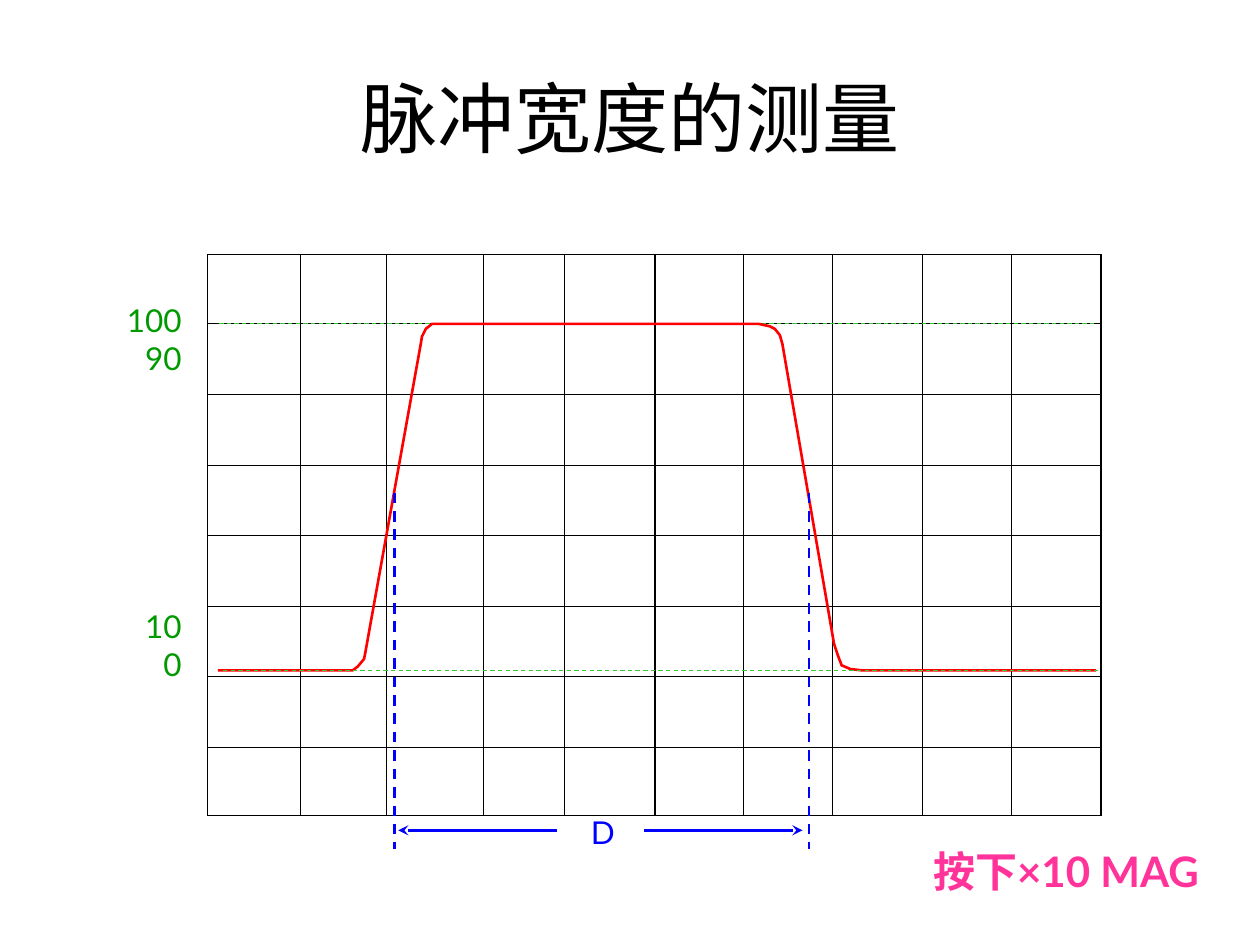
from lxml import etree
from pptx import Presentation
from pptx import util as u
from pptx.dml.color import RGBColor
from pptx.enum import dml, shapes, text
from pptx.oxml.ns import qn

BLACK = RGBColor(0x00, 0x00, 0x00)
GREEN = RGBColor(0x00, 0x99, 0x00)
LIME = RGBColor(0x33, 0xCC, 0x33)
RED = RGBColor(0xFF, 0x00, 0x00)
BLUE = RGBColor(0x00, 0x00, 0xFF)
PINK = RGBColor(0xFF, 0x33, 0x99)

# The slide is a square grid of 100 columns by 75 rows.
COLS, ROWS = 100, 75
UNIT = u.Inches(10) / COLS

WIDTHS = [7.3, 6.9, 7.7, 6.4, 7.2, 7] + [7.1] * 4
HEIGHTS = [5.5] + [5.6] * 6 + [5.4]
HIGH, LOW = 25.7, 53.2
LEFT, RIGHT = 31.3, 64.2
ARROW = 65.9
PULSE = [
    (17.3, LOW), (27.2, LOW), (28, LOW), (28.4, 52.9), (28.9, 52.3),
    (29, 51.8), (33.4, 27.3), (33.5, 26.7), (33.8, 26.1), (34.3, HIGH),
    (35, HIGH), (60.2, HIGH), (61.1, 25.9), (61.5, 26.1), (61.9, 26.6),
    (62.1, 27.3), (66.2, 51.1), (66.5, 52), (66.8, 52.8), (67.5, 53.1),
    (68.4, LOW), (87, LOW),
]


def grid(*counts):
    """Turn grid counts into slide lengths."""
    return [u.Emu(round(n * UNIT)) for n in counts]


def style(para, size, font, color, align, bold=False):
    para.alignment = align
    for run in para.runs:
        run.font.size = u.Pt(size)
        run.font.name = font
        run.font.bold = bold
        run.font.color.rgb = color


def add_title(slide, words):
    title = slide.shapes.title
    title.left, title.top, title.width, title.height = grid(5, 3, 90, 12.5)
    frame = title.text_frame
    frame.text = words
    frame.vertical_anchor = text.MSO_ANCHOR.MIDDLE
    style(frame.paragraphs[0], 44, "Arial", BLACK, text.PP_ALIGN.CENTER)


def add_label(parent, box, words, size, color, align, bold=False):
    frame = parent.add_textbox(*grid(*box)).text_frame
    frame.word_wrap = True
    frame.text = words
    for para in frame.paragraphs:
        style(para, size, "Lato", color, align, bold)


def weight(edge, count):
    """Line width of a grid rule: outer, middle or plain."""
    if edge in (0, count):
        return 0.75
    return 1.08 if edge == count // 2 else 0.45


def add_border(cell, sides):
    props = cell._tc.get_or_add_tcPr()
    for place, (side, width) in enumerate(sides.items()):
        line = etree.Element(qn("a:ln" + side), w=str(u.Pt(width)))
        fill = etree.SubElement(line, qn("a:solidFill"))
        etree.SubElement(fill, qn("a:srgbClr"), val=str(BLACK))
        props.insert(place, line)


def add_screen(slide):
    """Draw the scope screen as an empty table."""
    rows, cols = len(HEIGHTS), len(WIDTHS)
    box = grid(16.5, 20.2, sum(WIDTHS), sum(HEIGHTS))
    table = slide.shapes.add_table(rows, cols, *box).table
    table.first_row = table.horz_banding = False
    for col, width in zip(table.columns, grid(*WIDTHS)):
        col.width = width
    for row, height in zip(table.rows, grid(*HEIGHTS)):
        row.height = height
    for r in range(rows):
        for c in range(cols):
            cell = table.cell(r, c)
            cell.fill.background()
            add_border(cell, {
                "L": weight(c, cols), "R": weight(c + 1, cols),
                "T": weight(r, rows), "B": weight(r + 1, rows),
            })


def add_line(parent, start, end, color, width, dash=False, arrow=False):
    line = parent.add_connector(
        shapes.MSO_CONNECTOR.STRAIGHT, *grid(*start, *end))
    line.line.color.rgb = color
    line.line.width = u.Pt(width)
    if dash:
        line.line.dash_style = dml.MSO_LINE.DASH
    if arrow:
        etree.SubElement(
            line.line._get_or_add_ln(), qn("a:tailEnd"), type="stealth")
    etree.SubElement(line._element.spPr, qn("a:effectLst"))


def add_pulse(slide):
    first, *rest = [grid(*point) for point in PULSE]
    path = slide.shapes.build_freeform(*first)
    path.add_line_segments(rest, close=False)
    pulse = path.convert_to_shape()
    pulse.shadow.inherit = False
    pulse.fill.background()
    pulse.line.color.rgb = RED
    pulse.line.width = u.Pt(1.5)


def add_span(slide):
    """Mark the pulse width D between its two half-height points."""
    group = slide.shapes.add_group_shape().shapes
    add_line(group, (44.2, ARROW), (LEFT + 0.3, ARROW), BLUE, 1.5, arrow=True)
    add_label(group, (45.3, 64, 5.1, 4), "D", 18, BLUE, text.PP_ALIGN.CENTER)
    for x in (LEFT, RIGHT):
        add_line(group, (x, 39.1), (x, 67.4), BLUE, 1.5, dash=True)
    add_line(group, (51.1, ARROW), (RIGHT - 0.5, ARROW), BLUE, 1.5, arrow=True)


def main():
    deck = Presentation()
    deck.slide_width, deck.slide_height = grid(COLS, ROWS)
    slide = deck.slides.add_slide(deck.slide_layouts[5])
    add_title(slide, "脉冲宽度的测量")
    add_screen(slide)
    for top, words in ((23.4, "100\n90"), (47.7, "10\n0")):
        add_label(slide.shapes, (7.5, top, 7.9, 7), words, 18, GREEN,
                  text.PP_ALIGN.RIGHT)
    add_line(slide.shapes, (17.4, HIGH), (87, HIGH), LIME, 0.62, dash=True)
    add_pulse(slide)
    add_span(slide)
    add_label(slide.shapes, (72, 66.6, 25.2, 5), "按下×10 MAG", 24, PINK,
              text.PP_ALIGN.CENTER, bold=True)
    add_line(slide.shapes, (17.7, LOW), (87.3, LOW), LIME, 0.62, dash=True)
    deck.save("out.pptx")


if __name__ == "__main__":
    main()
